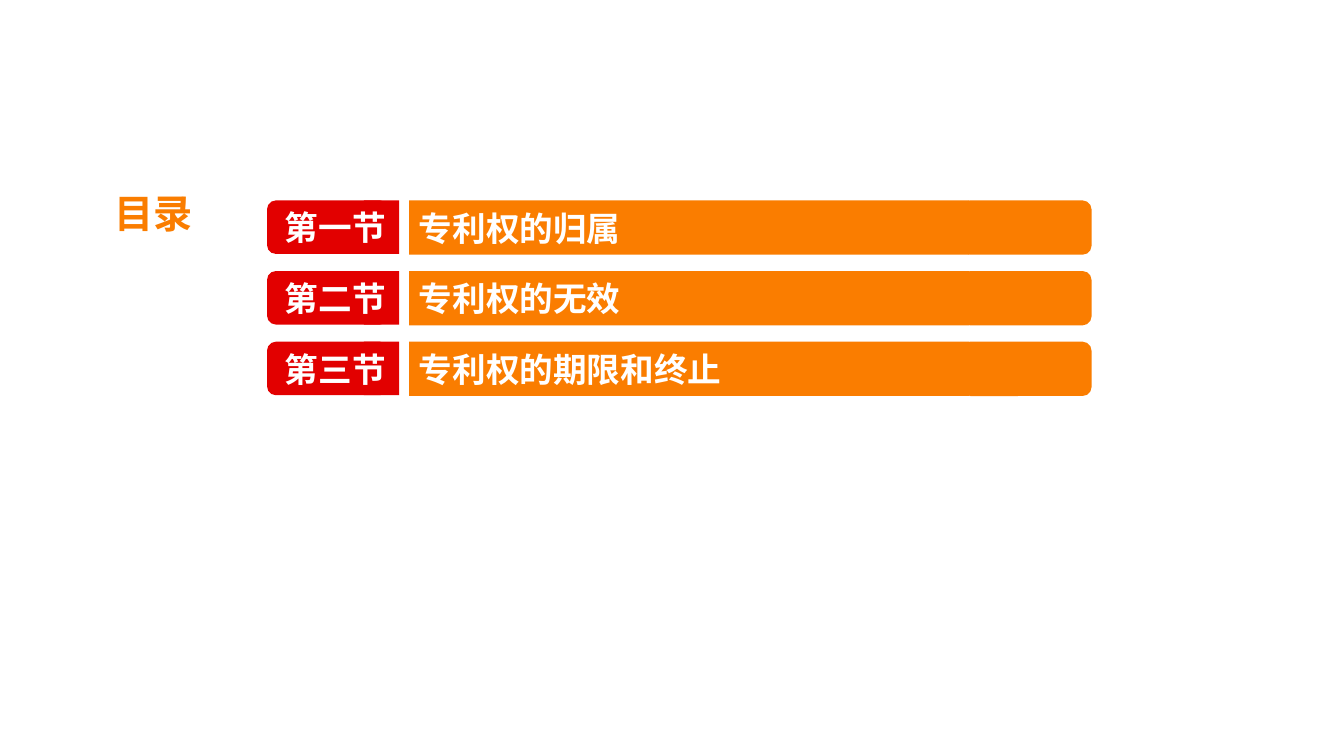
from lxml.etree import SubElement
from pptx import Presentation
from pptx.dml.color import RGBColor
from pptx.enum.shapes import MSO_SHAPE as Shape
from pptx.enum.text import MSO_ANCHOR as Anchor, MSO_AUTO_SIZE as AutoSize, PP_ALIGN as Align
from pptx.oxml.ns import qn
from pptx.util import Cm, Pt

ORANGE = RGBColor(0xFA, 0x7D, 0x00)
RED = RGBColor(0xE2, 0x00, 0x00)
WHITE = RGBColor(0xFF, 0xFF, 0xFF)
FONT = "Noto Sans CJK SC"

SECTIONS = [
    ("第一节", "专利权的归属"),
    ("第二节", "专利权的无效"),
    ("第三节", "专利权的期限和终止"),
]
FIRST_TOP, ROW_STEP = 5.05, 1.78
TAG_HEIGHT, BAR_HEIGHT = 1.35, 1.37


def write(holder, text, size=24, color=WHITE, anchor=Anchor.TOP, wrap=True):
    frame = holder.text_frame
    frame.auto_size = AutoSize.NONE
    frame.word_wrap = wrap
    frame.vertical_anchor = anchor
    paragraph = frame.paragraphs[0]
    paragraph.alignment = Align.LEFT
    run = paragraph.add_run()
    run.text = text
    run.font.size = Pt(size)
    run.font.bold = True
    run.font.color.rgb = color
    run.font.name = FONT
    SubElement(run.font._element, qn("a:ea")).set("typeface", FONT)


def add_block(preset, left, top, width, height, color):
    block = slide.shapes.add_shape(preset, Cm(left), Cm(top), Cm(width), Cm(height))
    block.shadow.inherit = False
    block.fill.solid()
    block.fill.fore_color.rgb = color
    block.line.fill.background()
    return block


prs = Presentation()
prs.slide_width, prs.slide_height = Cm(33.87), Cm(19.05)
slide = prs.slides.add_slide(prs.slide_layouts[5])

heading = slide.shapes.title
heading.left, heading.top = Cm(2.62), Cm(4.65)
heading.width, heading.height = Cm(2.51), Cm(1.45)
write(heading, "目录", size=28, color=ORANGE, wrap=False)

for row, (number, topic) in enumerate(SECTIONS):
    top = FIRST_TOP + row * ROW_STEP
    # Each half has one rounded outer end and one square inner end
    add_block(Shape.ROUNDED_RECTANGLE, 24.23, top, 3.28, BAR_HEIGHT, ORANGE)
    add_block(Shape.ROUNDED_RECTANGLE, 6.73, top, 3.07, TAG_HEIGHT, RED)
    add_block(Shape.RECTANGLE, 9.17, top, 0.89, TAG_HEIGHT, RED)
    topic_bar = add_block(Shape.RECTANGLE, 10.31, top, 14.12, BAR_HEIGHT, ORANGE)
    write(topic_bar, topic, anchor=Anchor.MIDDLE)
    label = slide.shapes.add_textbox(Cm(6.93), Cm(top + 0.05), Cm(3.07), Cm(1.27))
    write(label, number, wrap=False)

prs.save("out.pptx")
